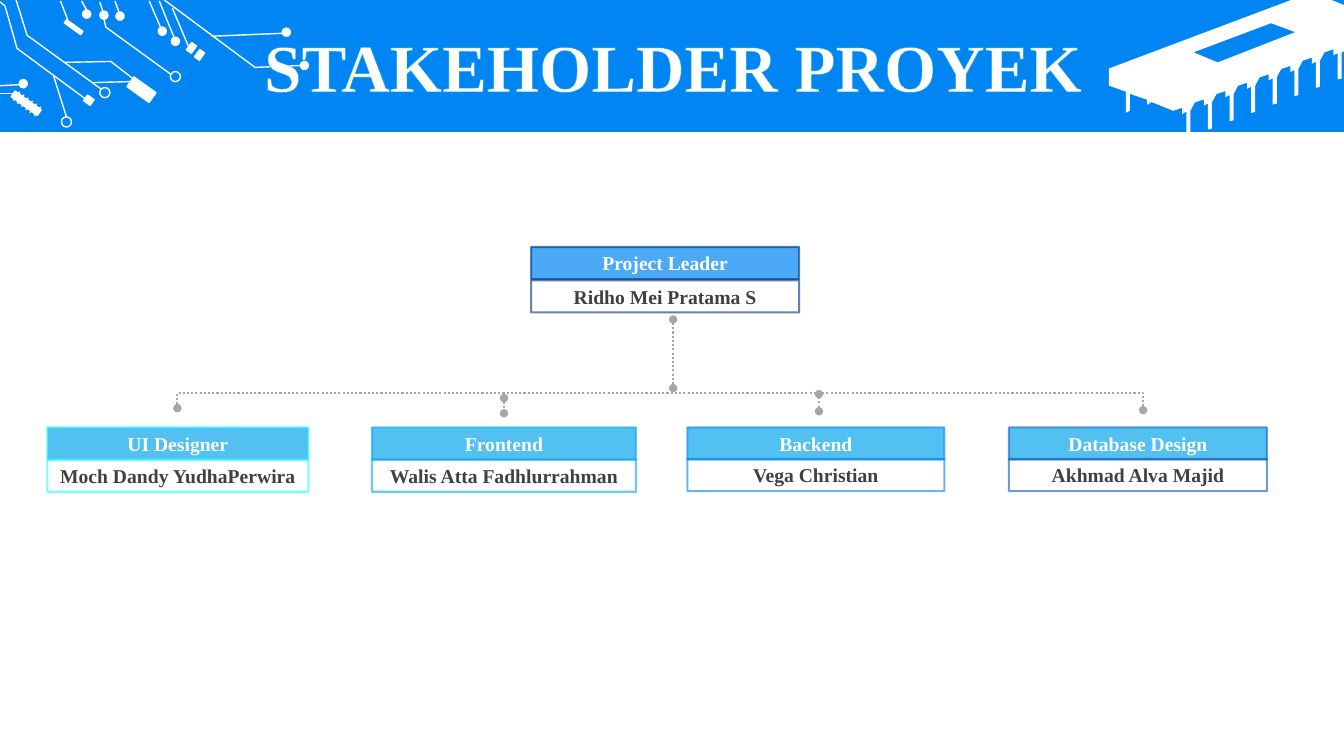
from lxml.etree import SubElement
from pptx import Presentation
from pptx.dml.color import RGBColor
from pptx.enum.dml import MSO_LINE
from pptx.enum.shapes import MSO_CONNECTOR, MSO_SHAPE
from pptx.enum.text import MSO_ANCHOR, PP_ALIGN
from pptx.oxml.ns import qn
from pptx.util import Pt

RECT, OVAL = MSO_SHAPE.RECTANGLE, MSO_SHAPE.OVAL
STRAIGHT = MSO_CONNECTOR.STRAIGHT
DOTTED = MSO_LINE.ROUND_DOT
CENTER, MIDDLE = PP_ALIGN.CENTER, MSO_ANCHOR.MIDDLE

FONT = "Times New Roman"
WHITE, BLUE, SKY, GREY, DARK = "FFFFFF", "0085F2", "0AA6ED", "A6A6A6", "404040"
TITLE = "STAKEHOLDER PROYEK"
BOX_H = 23
TILT = 35.7

ROLES = [
    ("Project Leader", "Ridho Mei Pratama S", 379.4, 176.4, 191.5, 23.8, BLUE, "00307E"),
    ("UI Designer", "Moch Dandy YudhaPerwira", 33.8, 305.3, 186.5, 23, SKY, "1FFBFD"),
    ("Frontend", "Walis Atta Fadhlurrahman", 265.7, 305.3, 188.6, 23, SKY, SKY),
    ("Backend", "Vega Christian", 491, 305.3, 183.6, 22.5, SKY, BLUE),
    ("Database Design", "Akhmad Alva Majid", 720.7, 305.3, 184.3, 22.5, SKY, "125AC4"),
]
BUS = [(126.7, 291.6), (126.7, 280.8), (816.5, 280.8), (816.5, 293)]
STEMS = [(480.8, 228.2, 480.8, 277.2), (360, 284.4, 360, 295.2), (585, 293.8, 585, 281.5)]

PADS = [
    (91.4, 59.8, 19.4, 8.6), (45.4, 18, 14.4, 2.9), (60.5, 69.1, 5.8, 5),
    (134.6, 31, 4.3, 6.5), (140.4, 36, 4.3, 6.5), (7.2, 71.3, 23, 5),
]
DOTS = [
    (217.4, 46.8), (204.5, 23), (61.9, 10.1), (74.2, 10.8),
    (85.7, 11.5), (16.6, 59.8), (125.3, 29.5), (115.9, 22.3),
]
RINGS = [(125.3, 54.7), (74.9, 66.2), (47.5, 87.1)]
WIRES = [
    (43.2, 0.7, 49, 15.8), (58.3, 0.7, 61.9, 7.2), (71.3, 1.4, 73.4, 7.9),
    (82.1, 0.7, 85, 8.6), (106.6, 0.7, 115.9, 22.3), (113.8, 0.7, 124.6, 27.4),
    (151.2, 25.9, 201.6, 23.8), (123.1, 5.8, 134.6, 33.1), (0, 61.2, 13.7, 60.5),
    (0, 67, 10.1, 67), (38.2, 54, 47.5, 83.5), (66.2, 59, 93.6, 58.3),
]
TEETH = [(9.4 + 3 * i, 72 + 2.16 * i, 14.2 + 3 * i, 65.5 + 2.16 * i) for i in range(6)]
TRACES = [
    [(117.4, 0), (182.2, 48.2), (215.3, 46.8)],
    [(11.5, 0), (19.4, 25.2), (72, 63.4)],
    [(0, 1.4), (3.6, 4.3), (12.2, 34.6), (61.9, 71.3)],
    [(46.1, 44.6), (79.2, 43.9), (95, 56.2)],
    [(74.2, 13), (75.6, 19.4), (122.4, 53.3)],
]
CHIP_TOP = [(922.3, 0), (951, 0), (960, 3.6), (960, 36.7)]
CHIP_PIN = [(0, 0), (0, 18.7), (-2.9, 19.4), (-2.9, 0.7), (-5.8, 2.2), (-5.8, -2.2), (-12.3, 0)]
CHIP_LEFT = [
    (822, 72.7), (822, 73.4), (819.4, 74.9), (819.4, 71.3), (807, 67), (807, 79.2),
    (804.2, 80.6), (804.2, 65.5), (792, 61.2), (792, 49),
]
CHIP_WINDOW = [(907.9, 16.6), (852.5, 37.4), (869.8, 44.6), (925.2, 23)]


def rgb(color):
    return RGBColor.from_string(color)


def set_alpha(fill_parent, percent):
    clr = next(fill_parent.iter(qn("a:srgbClr")))
    SubElement(clr, qn("a:alpha"), val=str(percent * 1000))


def style(sp, fill=None, line=None, width=1):
    sp.shadow.inherit = False
    if fill:
        sp.fill.solid()
        sp.fill.fore_color.rgb = rgb(fill)
    else:
        sp.fill.background()
    if line:
        sp.line.color.rgb = rgb(line)
        sp.line.width = Pt(width)
    else:
        sp.line.fill.background()
    return sp


def shape(s, kind, x, y, w, h, fill=None, line=None, width=1):
    sp = s.shapes.add_shape(kind, Pt(x), Pt(y), Pt(w), Pt(h))
    return style(sp, fill, line, width)


def outline(s, contours, closed, fill=None, line=None, width=1):
    pts = [[(Pt(x), Pt(y)) for x, y in c] for c in contours]
    fb = s.shapes.build_freeform(*pts[0][0])
    fb.add_line_segments(pts[0][1:], close=closed)
    for c in pts[1:]:
        fb.move_to(*c[0])
        fb.add_line_segments(c[1:], close=closed)
    return style(fb.convert_to_shape(), fill, line, width)


def wire(s, x1, y1, x2, y2, color, width=1):
    cn = s.shapes.add_connector(STRAIGHT, Pt(x1), Pt(y1), Pt(x2), Pt(y2))
    cn.line.color.rgb = rgb(color)
    cn.line.width = Pt(width)
    SubElement(cn.element.spPr, qn("a:effectLst"))
    return cn


def dot_ends(sp):
    sp.line.dash_style = DOTTED
    ln = sp.element.spPr.find(qn("a:ln"))
    for end in ("a:headEnd", "a:tailEnd"):
        SubElement(ln, qn(end), type="oval")


def write(tf, text, size, color):
    tf.word_wrap = True
    tf.vertical_anchor = MIDDLE
    p = tf.paragraphs[0]
    p.alignment = CENTER
    r = p.add_run()
    r.text = text
    r.font.name = FONT
    r.font.size = Pt(size)
    r.font.bold = True
    r.font.color.rgb = rgb(color)
    return r


def draw_header(s):
    shape(s, RECT, 0, 0, 960, 94.3, BLUE)
    pins = [(958.3 - 15.43 * i + dx, 37.4 + 5.97 * i + dy) for i in range(8) for dx, dy in CHIP_PIN]
    outline(s, [CHIP_TOP + pins + CHIP_LEFT, CHIP_WINDOW], True, WHITE)
    for pad in PADS:
        shape(s, RECT, *pad, WHITE, WHITE).rotation = TILT
    for spots, d, fill in ((DOTS, 5.8, WHITE), (RINGS, 7.2, None)):
        for x, y in spots:
            shape(s, OVAL, x - d / 2, y - d / 2, d, d, fill, WHITE)
    for ends in WIRES + TEETH:
        wire(s, *ends, WHITE)
    for trace in TRACES:
        outline(s, [trace], False, line=WHITE)


def draw_title(s):
    title = s.shapes.title
    title.left, title.top, title.width, title.height = Pt(25.2), Pt(21.6), Pt(911.5), Pt(56.9)
    r = write(title.text_frame, TITLE, 48, WHITE)
    title.text_frame.paragraphs[0].line_spacing = 0.9
    rpr = r.font.fill._xPr
    ln = SubElement(rpr, qn("a:ln"), w=str(Pt(0.52)))
    SubElement(SubElement(ln, qn("a:solidFill")), qn("a:srgbClr"), val=SKY)
    rpr.insert(0, ln)
    s.shapes.element.append(title.element)


def draw_chart(s):
    dot_ends(outline(s, [BUS], False, line=GREY, width=1.5))
    for stem in STEMS:
        dot_ends(wire(s, *stem, GREY, 1.5))
    for role, name, x, y, w, step, fill, line in ROLES:
        for text, top, back, color in ((role, y, fill, WHITE), (name, y + step, None, DARK)):
            sp = shape(s, RECT, x, top, w, BOX_H, back, line, 1.5)
            spPr = sp.element.spPr
            set_alpha(spPr.find(qn("a:ln")), 60)
            if back:
                set_alpha(spPr.find(qn("a:solidFill")), 70)
            write(sp.text_frame, text, 14, color)


def main():
    prs = Presentation()
    prs.slide_width, prs.slide_height = Pt(960), Pt(540)
    s = prs.slides.add_slide(prs.slide_layouts[5])
    draw_header(s)
    draw_title(s)
    draw_chart(s)
    prs.save("out.pptx")


if __name__ == "__main__":
    main()
